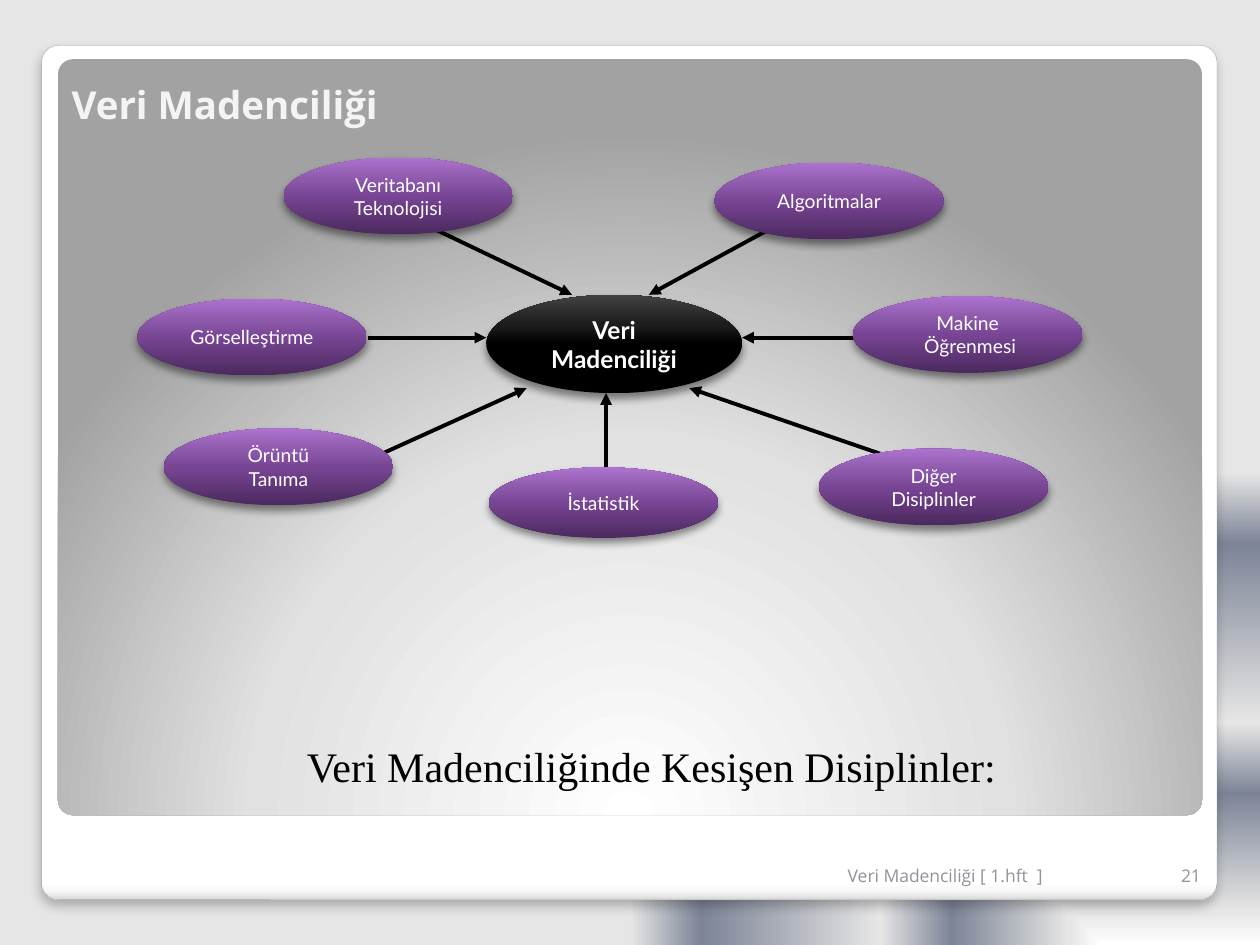
from lxml.etree import SubElement
from pptx import Presentation
from pptx.dml.color import RGBColor
from pptx.enum.shapes import MSO_CONNECTOR, MSO_SHAPE
from pptx.enum.text import MSO_ANCHOR, PP_ALIGN
from pptx.oxml.ns import qn
from pptx.util import Inches, Pt

WHITE = RGBColor(0xFF, 0xFF, 0xFF)
BLACK = RGBColor(0, 0, 0)
TITLE_COLOUR = RGBColor(0xF4, 0xF3, 0xF6)
FOOTER_COLOUR = RGBColor(0x95, 0x90, 0x9B)
FRAME_LINE = RGBColor(0xA4, 0xA4, 0xA4)

# Gradients: (position in percent, colour) stops, then an angle or a path
BACKDROP = dict(path="rect", focus=(100, 100, 0, 0), stops=[
    (0, "FFFFFF"), (7, "E6E6E6"), (32, "7D8496"), (47, "E6E6E6"),
    (85, "7D8496"), (100, "E6E6E6")])
FRAME = dict(angle=90, stops=[
    (0, "FFFFFF"), (98, "FFFFFF"), (99, "F7F7F7"), (100, "DADADA")])
PANEL = dict(path="circle", focus=(50, 175, 50, -75), stops=[
    (0, "FFFFFF"), (55, "E1E1E1"), (100, "A2A2A2")])
HUB = dict(angle=270, stops=[
    (0, "000000"), (50, "000000"), (70, "1D1D1D"), (100, "424242")])
PURPLE = dict(angle=270, stops=[
    (0, "4B295E"), (50, "784594"), (70, "8C58AA"), (100, "AD73CF")])

FRAME_SHADOW = dict(alpha=25, blur=6, distance=4)
NODE_SHADOW = dict(alpha=45, blur=5, distance=3)

# Disciplines: text, left, top, arrow start, arrow end
NODE_WIDTH, NODE_HEIGHT = 1.82, 0.61
STATISTICS = "İstatistik"
DISCIPLINES = [
    ("Veritabanı\vTeknolojisi", 2.25, 1.25, (3.39, 1.79), (4.54, 2.34)),
    (STATISTICS, 3.88, 3.71, (4.81, 3.73), (4.81, 3.12)),
    ("Makine\n Öğrenmesi", 6.77, 2.35, (6.84, 2.68), (5.89, 2.68)),
    ("Örüntü\vTanıma", 1.3, 3.4, (2.99, 3.62), (4.18, 3.08)),
    ("Algoritmalar", 5.67, 1.29, (6.16, 1.79), (5.15, 2.34)),
    ("Diğer\vDisiplinler", 6.5, 3.56, (7.04, 3.62), (5.47, 3.08)),
    ("Görselleştirme", 1.09, 2.37, (2.92, 2.68), (3.86, 2.68)),
]
NODE_HEIGHTS = {STATISTICS: 0.56}

# Text boxes: text, place, font, paragraph format, frame format
FOOTER_FONT = dict(name="Open Sans", size=Pt(10))
BOTTOM = dict(vertical_anchor=MSO_ANCHOR.BOTTOM)
TEXTS = [
    ("Veri Madenciliği", (0.47, 0.47, 8.95, 0.59),
     dict(name="Open Sans", size=Pt(22), bold=True), TITLE_COLOUR, {}, BOTTOM),
    ("Veri Madenciliğinde Kesişen Disiplinler:", (1.8, 5.78, 6.64, 0.55),
     dict(name="Times New Roman", size=Pt(24)), BLACK,
     dict(alignment=PP_ALIGN.CENTER, space_before=Pt(2.5)),
     dict(margin_left=Inches(0.2), margin_top=Inches(0.1))),
    ("21", (9.13, 6.68, 0.5, 0.4), FOOTER_FONT, FOOTER_COLOUR,
     dict(alignment=PP_ALIGN.RIGHT), BOTTOM),
    ("Veri Madenciliği [ 1.hft  ]", (6.63, 6.68, 2.5, 0.4), FOOTER_FONT,
     FOOTER_COLOUR, {}, BOTTOM),
]


def assign(target, values):
    for name, value in values.items():
        setattr(target, name, value)


def add(parent, tag, **attributes):
    return SubElement(parent, qn(tag), {k: str(v) for k, v in attributes.items()})


def set_gradient(fill, holder, stops, angle=None, path=None, focus=None):
    """Put a gradient where a solid fill of the holder element stands."""
    fill.solid()
    solid = holder.find(qn("a:solidFill"))
    gradient = add(holder, "a:gradFill", rotWithShape=1)
    stop_list = add(gradient, "a:gsLst")
    for position, colour in stops:
        stop = add(stop_list, "a:gs", pos=position * 1000)
        add(stop, "a:srgbClr", val=colour)
    if path:
        shade = add(gradient, "a:path", path=path)
        sides = {side: share * 1000 for side, share in zip("ltrb", focus)}
        add(shade, "a:fillToRect", **sides)
    else:
        add(gradient, "a:lin", ang=angle * 60000, scaled=0)
    holder.replace(solid, gradient)


def set_shadow(shape, alpha, blur, distance):
    shape.shadow.inherit = False
    effects = shape._element.spPr.find(qn("a:effectLst"))
    shadow = add(effects, "a:outerShdw", blurRad=Pt(blur), dist=Pt(distance),
                 dir=90 * 60000, algn="ctr", rotWithShape=0)
    add(add(shadow, "a:srgbClr", val="000000"), "a:alpha", val=alpha * 1000)


def add_shape(slide, kind, place, gradient, shadow=None):
    shape = slide.shapes.add_shape(kind, *map(Inches, place))
    shape.line.fill.background()
    set_gradient(shape.fill, shape._element.spPr, **gradient)
    if shadow:
        set_shadow(shape, **shadow)
    else:
        shape.shadow.inherit = False
    return shape


def write(frame, text, font, colour, layout):
    frame.text = text
    for para in frame.paragraphs:
        assign(para, layout)
        for span in para.runs:
            assign(span.font, font)
            span.font.color.rgb = colour


def add_node(slide, text, place, gradient, font):
    node = add_shape(slide, MSO_SHAPE.OVAL, place, gradient, NODE_SHADOW)
    assign(node.text_frame, dict(word_wrap=False, vertical_anchor=MSO_ANCHOR.MIDDLE))
    write(node.text_frame, text, dict(name="Lato", **font), WHITE,
          dict(alignment=PP_ALIGN.CENTER))


def add_arrow(slide, start, end):
    arrow = slide.shapes.add_connector(
        MSO_CONNECTOR.STRAIGHT, *map(Inches, start + end))
    arrow.line.width = Pt(2.25)
    arrow.line.color.rgb = BLACK
    add(arrow.line._get_or_add_ln(), "a:tailEnd", type="triangle")
    add(arrow._element.spPr, "a:effectLst")


def main():
    deck = Presentation()
    assign(deck, dict(slide_width=Inches(10), slide_height=Inches(7.5)))
    slide = deck.slides.add_slide(deck.slide_layouts[6])

    # Backdrop, frame and panel
    fill = slide.background.fill
    set_gradient(fill, slide._element.find(".//" + qn("p:bgPr")), **BACKDROP)
    frame = add_shape(slide, MSO_SHAPE.ROUNDED_RECTANGLE,
                      (0.33, 0.36, 9.33, 6.78), FRAME, FRAME_SHADOW)
    frame.line.color.rgb = FRAME_LINE
    frame.line.width = Pt(0.16)
    panel = add_shape(slide, MSO_SHAPE.ROUNDED_RECTANGLE,
                      (0.46, 0.47, 9.08, 6), PANEL)
    for card in (frame, panel):
        card.adjustments[0] = 0.02

    # Title, caption and footer
    for text, place, font, colour, layout, frame_format in TEXTS:
        box = slide.shapes.add_textbox(*map(Inches, place))
        assign(box.text_frame, dict(word_wrap=True, **frame_format))
        write(box.text_frame, text, font, colour, layout)

    # Hub, arrows, then the disciplines around it
    add_node(slide, "Veri\vMadenciliği", (3.86, 2.34, 2.03, 0.78), HUB,
             dict(size=Pt(14), bold=True))
    for *_, start, end in DISCIPLINES:
        add_arrow(slide, start, end)
    for text, left, top, *_ in DISCIPLINES:
        height = NODE_HEIGHTS.get(text, NODE_HEIGHT)
        add_node(slide, text, (left, top, NODE_WIDTH, height), PURPLE,
                 dict(size=Pt(11)))

    deck.save("out.pptx")


if __name__ == "__main__":
    main()
